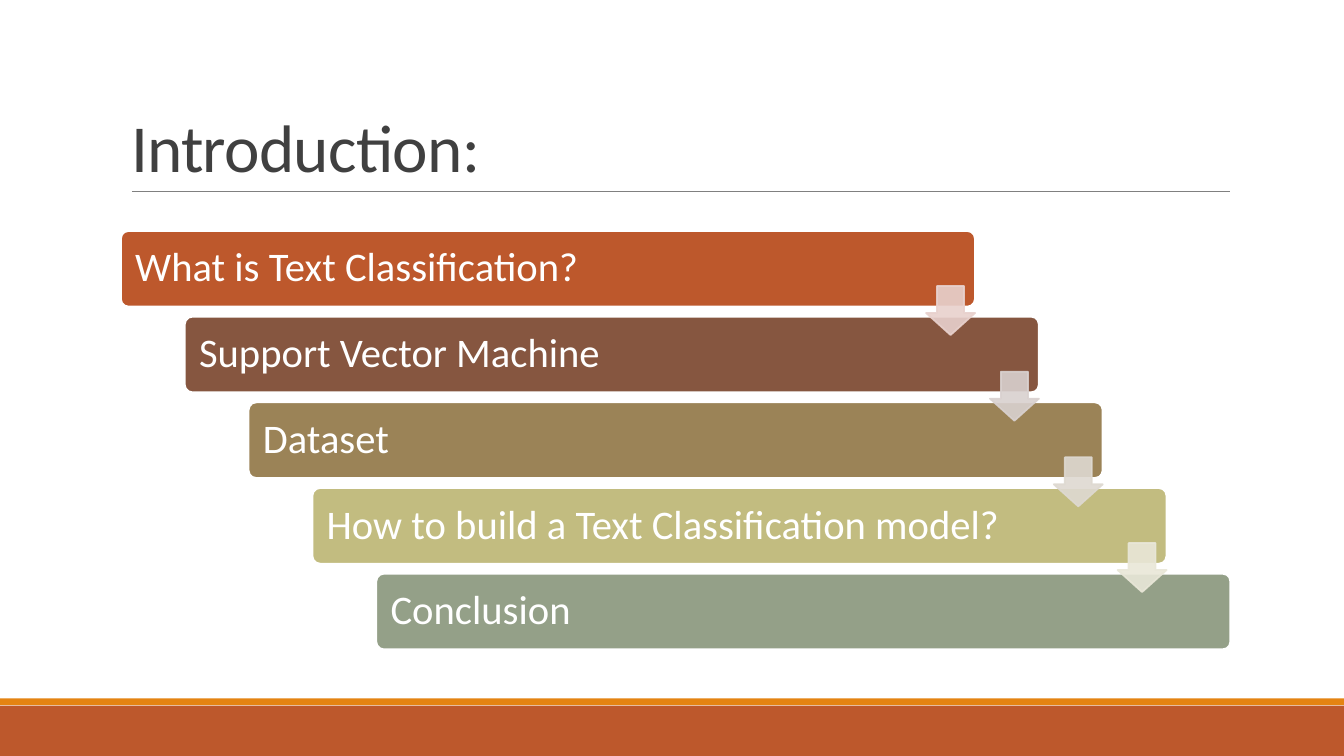
import pptx
import pptx.util
import pptx.dml.color
import pptx.enum.shapes
import pptx.enum.text
import pptx.oxml
import pptx.oxml.ns
from lxml import etree

Pt = pptx.util.Pt
Shape = pptx.enum.shapes.MSO_SHAPE
Anchor = pptx.enum.text.MSO_ANCHOR
Align = pptx.enum.text.PP_ALIGN

FONT = "Calibri"
COLORS = {
    "white": "FFFFFF",
    "title": "404040",
    "rule": "808080",
    "footer": "BD582C",
    "stripe": "E48312",
}
TOPICS = [
    ("What is Text Classification?", "BD582C"),
    ("Support Vector Machine", "865640"),
    ("Dataset", "9B8357"),
    ("How to build a Text Classification model?", "C2BC80"),
    ("Conclusion", "94A088"),
]
ARROW_COLORS = ["E8D1CD", "D9D1CF", "DED9D1", "E9E7D8"]
STEP_X, STEP_Y = 45.6, 61.2


def rgb(color):
    return pptx.dml.color.RGBColor.from_string(color)


def add_block(page, kind, left, top, width, height, fill, line=None):
    block = page.shapes.add_shape(kind, Pt(left), Pt(top), Pt(width), Pt(height))
    block.shadow.inherit = False
    block.fill.solid()
    block.fill.fore_color.rgb = rgb(fill)
    if line:
        block.line.color.rgb = rgb(line)
        block.line.width = Pt(1.25)
    else:
        block.line.fill.background()
    return block


def style_paragraph(para, size, color, spacing):
    para.alignment = Align.LEFT
    para.line_spacing = spacing
    para.font.name = FONT
    para.font.size = Pt(size)
    para.font.color.rgb = rgb(color)


def add_title(page, text):
    title = page.shapes.title
    title.left, title.top, title.width, title.height = Pt(86.4), Pt(22.3), Pt(792), Pt(114.5)
    frame = title.text_frame
    frame.text = text
    frame.word_wrap = True
    frame.auto_size = pptx.enum.text.MSO_AUTO_SIZE.NONE
    frame.vertical_anchor = Anchor.BOTTOM
    para = frame.paragraphs[0]
    style_paragraph(para, 48, COLORS["title"], 0.85)
    para.runs[0].font._element.set("spc", "-50")


def add_rule(page, left, right, top):
    rule = page.shapes.add_connector(
        pptx.enum.shapes.MSO_CONNECTOR.STRAIGHT, Pt(left), Pt(top), Pt(right), Pt(top))
    rule.line.color.rgb = rgb(COLORS["rule"])
    rule.line.width = Pt(0.5)
    etree.SubElement(rule._element.spPr, pptx.oxml.ns.qn("a:effectLst"))


def add_topic(page, index, text, color):
    bar = add_block(page, Shape.ROUNDED_RECTANGLE, 86.4 + index * STEP_X,
                    165 + index * STEP_Y, 610, 54, color, COLORS["white"])
    bar.adjustments[0] = 0.1
    frame = bar.text_frame
    frame.word_wrap = True
    frame.vertical_anchor = Anchor.MIDDLE
    frame.margin_left = frame.margin_right = Pt(8.6)
    frame.margin_top = frame.margin_bottom = Pt(8.6)
    frame.text = text
    style_paragraph(frame.paragraphs[0], 29, COLORS["white"], 0.9)


def add_arrow(page, index, color):
    arrow = add_block(page, Shape.DOWN_ARROW, 661.5 + index * STEP_X,
                      204.3 + index * STEP_Y, 35, 35, color, color)
    arrow.adjustments[0] = 0.55
    arrow.adjustments[1] = 0.45
    for shade in arrow._element.spPr.iter(pptx.oxml.ns.qn("a:srgbClr")):
        etree.SubElement(shade, pptx.oxml.ns.qn("a:alpha"), val="90000")


def main():
    deck = pptx.Presentation()
    deck.slide_width, deck.slide_height = Pt(960), Pt(540)
    page = deck.slides.add_slide(deck.slide_layouts[5])
    add_block(page, Shape.RECTANGLE, 0, 504, 960, 36, COLORS["footer"])
    add_block(page, Shape.RECTANGLE, 0, 498.8, 960, 5, COLORS["stripe"])
    add_rule(page, 94.3, 878.8, 136.8)
    add_title(page, "Introduction:")
    for index, (text, color) in enumerate(TOPICS):
        add_topic(page, index, text, color)
    for index, color in enumerate(ARROW_COLORS):
        add_arrow(page, index, color)
    deck.save("out.pptx")


if __name__ == "__main__":
    main()
